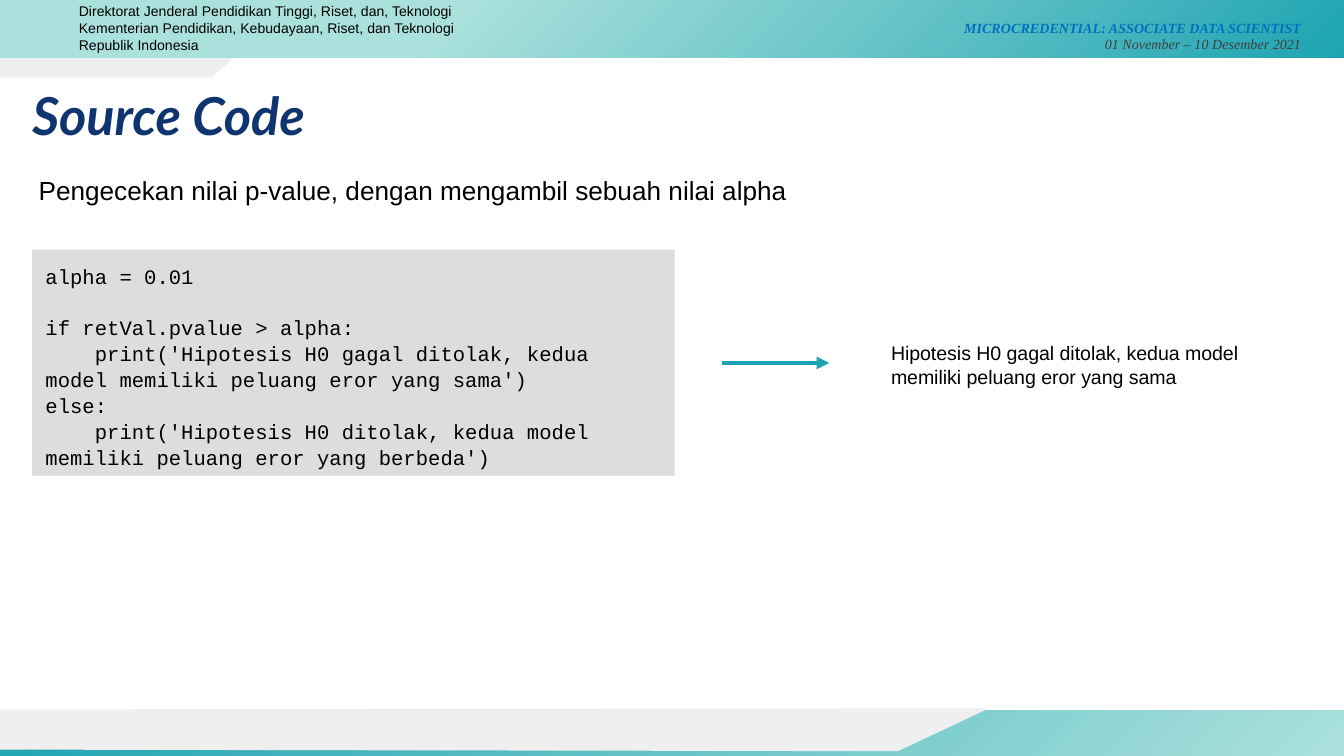
from lxml import etree
from pptx import Presentation
from pptx.dml.color import RGBColor
from pptx.enum.shapes import MSO_CONNECTOR as Link, MSO_SHAPE as Shape
from pptx.enum.text import MSO_ANCHOR as Anchor, PP_ALIGN as Align
from pptx.oxml import parse_xml
from pptx.oxml.ns import nsdecls, qn
from pptx.util import Cm, Pt

BLACK = RGBColor(0x00, 0x00, 0x00)
NAVY = RGBColor(0x0F, 0x35, 0x70)
BLUE = RGBColor(0x00, 0x70, 0xC0)
CHARCOAL = RGBColor(0x3F, 0x3F, 0x3F)
PALE_GREY = RGBColor(0xEF, 0xEF, 0xEF)
CODE_GREY = RGBColor(0xDD, 0xDD, 0xDD)
TEAL = RGBColor(0x1E, 0xA4, 0xB2)
MINT = RGBColor(0xAB, 0xE1, 0xDC)


def place(box, left, top, width, height):
    box.left, box.top, box.width, box.height = Cm(left), Cm(top), Cm(width), Cm(height)


def write(box, text, font, size, color, inset=0.25, align=Align.LEFT):
    frame = box.text_frame
    frame.word_wrap = True
    frame.vertical_anchor = Anchor.TOP
    frame.margin_left = frame.margin_right = Cm(0.25)
    frame.margin_top = frame.margin_bottom = Cm(inset)
    frame.text = text
    for para in frame.paragraphs:
        para.alignment = align
        for span in para.runs:
            span.font.name = font
            span.font.size = Pt(size)
            span.font.color.rgb = color
    return frame


deck = Presentation()
deck.slide_width, deck.slide_height = Cm(25.4), Cm(14.29)
page = deck.slides.add_slide(deck.slide_layouts[5])
shapes = page.shapes

# Header and footer bands, each with a grey slanted tab
bands = [
    (13.44, 0.91, [(0, MINT), (100, TEAL)],
     [(18.69, 13.39), (0, 13.41), (0, 14.17), (16.97, 14.2)]),
    (0, 1.09, [(0, TEAL), (67, MINT), (100, MINT)],
     [(4.65, 0.89), (0, 0.84), (0, 1.47), (3.99, 1.47)]),
]
for top, height, stops, corners in bands:
    band = shapes.add_shape(Shape.RECTANGLE, 0, Cm(top), deck.slide_width, Cm(height))
    points = [(Cm(x), Cm(y)) for x, y in corners]
    outline = shapes.build_freeform(*points[0])
    outline.add_line_segments(points[1:], close=True)
    tab = outline.convert_to_shape()
    tab.fill.solid()
    tab.fill.fore_color.rgb = PALE_GREY
    for part in (band, tab):
        part.shadow.inherit = False
        part.line.fill.background()

    # Radial gradient centred on the lower right corner
    marks = "".join(f'<a:gs pos="{share * 1000}"><a:srgbClr val="{color}"/></a:gs>'
                    for share, color in stops)
    gradient = parse_xml(
        f'<a:gradFill {nsdecls("a")}><a:gsLst>{marks}</a:gsLst><a:path path="circle">'
        '<a:fillToRect l="100000" t="100000"/></a:path></a:gradFill>')
    band.element.spPr.find(qn("a:prstGeom")).addnext(gradient)

# The header band lies over its tab
shapes.element.remove(band.element)
shapes.element.append(band.element)

# Header texts
course = shapes.add_textbox(Cm(15.11), Cm(0.13), Cm(9.73), Cm(0.99))
frame = write(course, "MICROCREDENTIAL: ASSOCIATE DATA SCIENTIST\v01 November – 10 Desember 2021",
              "Times New Roman", 7.5, BLUE, 0.13, Align.RIGHT)
frame.margin_top = Cm(0.23)
name, dates = frame.paragraphs[0].runs
name.font.bold = True
name.font.italic = dates.font.italic = True
dates.font.color.rgb = CHARCOAL

ministry = shapes.add_textbox(Cm(1.24), Cm(-0.08), Cm(8.46), Cm(1.22))
write(ministry, "Direktorat Jenderal Pendidikan Tinggi, Riset, dan, Teknologi\n"
      "Kementerian Pendidikan, Kebudayaan, Riset, dan Teknologi Republik Indonesia",
      "Arial", 7.5, BLACK, 0.13)

# Title and introduction
title = shapes.title
place(title, 0.36, 1.32, 19.56, 1.7)
heading = write(title, "Source Code", "Lato", 28, NAVY).paragraphs[0].runs[0]
heading.font.bold = heading.font.italic = True

intro = shapes.add_textbox(Cm(0.48), Cm(3.05), Cm(15.49), Cm(1.12))
write(intro, "Pengecekan nilai p-value, dengan mengambil sebuah nilai alpha", "Arial", 14, BLACK)

# Code listing
code_lines = [
    "alpha = 0.01",
    "if retVal.pvalue > alpha:",
    "    print('Hipotesis H0 gagal ditolak, kedua model memiliki peluang eror yang sama')",
    "else:",
    "    print('Hipotesis H0 ditolak, kedua model memiliki peluang eror yang berbeda')",
]
code = shapes.add_shape(Shape.RECTANGLE, Cm(0.61), Cm(4.72), Cm(12.14), Cm(4.27))
code.shadow.inherit = False
code.fill.solid()
code.fill.fore_color.rgb = CODE_GREY
code.line.fill.background()
frame = write(code, "\n".join(code_lines), "Courier New", 11, BLACK)
for para in frame.paragraphs:
    para.line_spacing = 1.06
frame.paragraphs[1].space_before = Pt(13.2)

# Printed result and the arrow leading to it
result = shapes.add_textbox(Cm(16.59), Cm(6.2), Cm(7.11), Cm(1.42))
write(result, "Hipotesis H0 gagal ditolak, kedua model memiliki peluang eror yang sama",
      "Arial", 10.5, BLACK)

arrow = shapes.add_connector(Link.STRAIGHT, Cm(13.64), Cm(6.86), Cm(15.67), Cm(6.86))
arrow.line.color.rgb = TEAL
arrow.line.width = Pt(2.25)
etree.SubElement(arrow.line._get_or_add_ln(), qn("a:tailEnd"), type="triangle")
etree.SubElement(arrow.element.spPr, qn("a:effectLst"))

deck.save("out.pptx")
